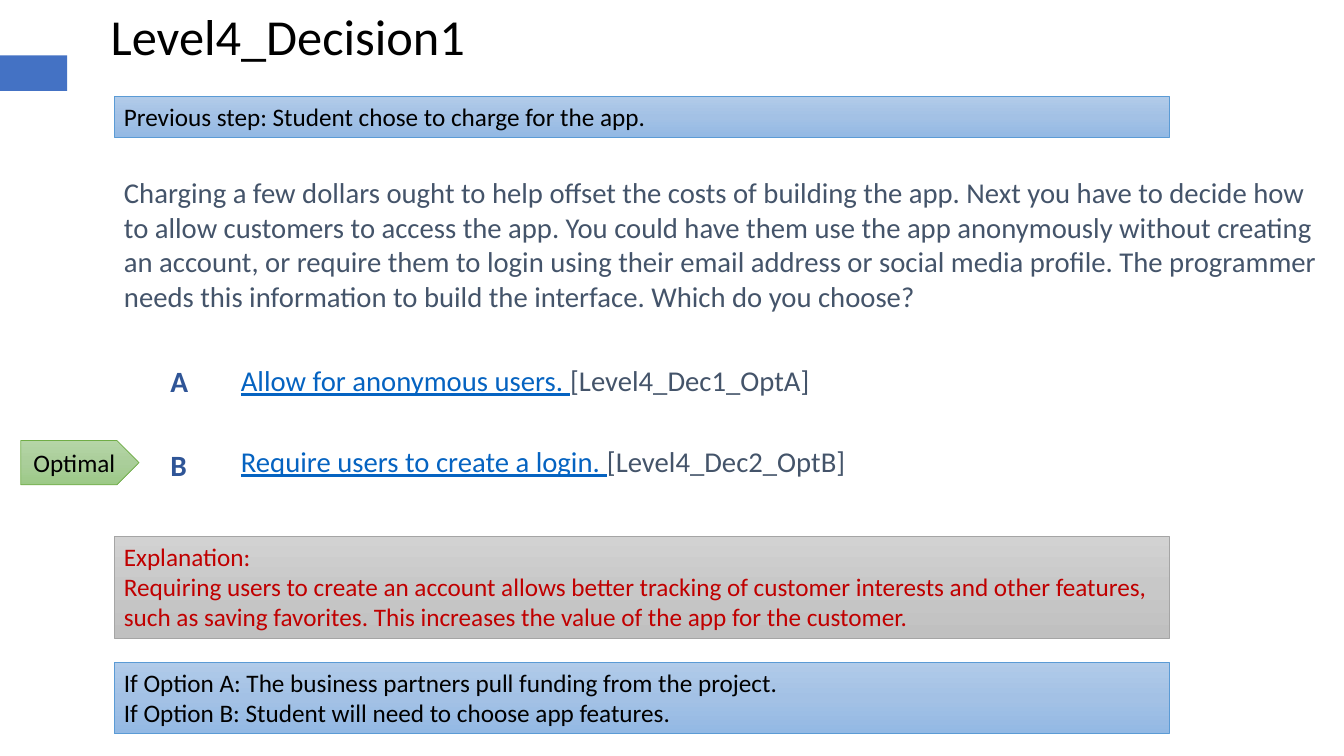
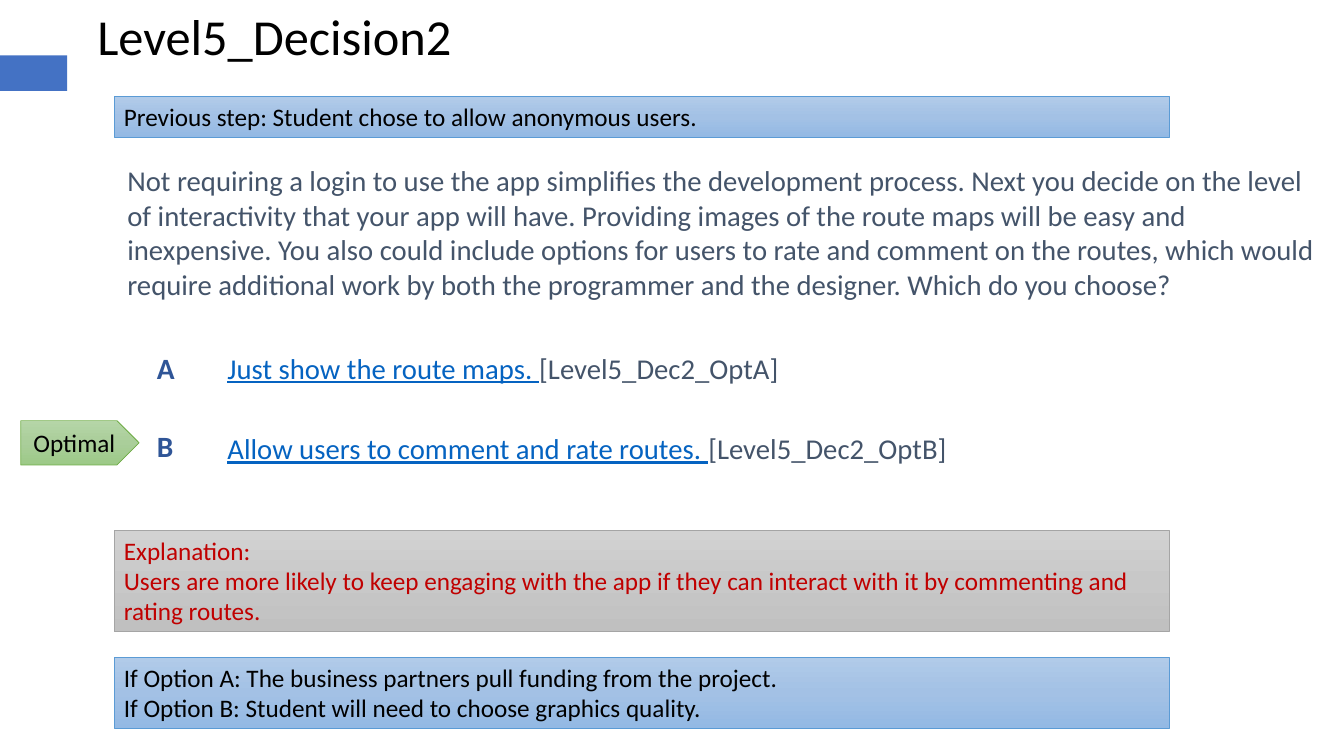
from dataclasses import dataclass

from lxml.etree import SubElement
from pptx import Presentation
from pptx.dml.color import RGBColor as Rgb
from pptx.enum.shapes import MSO_SHAPE as Preset
from pptx.enum.text import MSO_ANCHOR as Anchor, MSO_AUTO_SIZE as Fit, PP_ALIGN as Align
from pptx.oxml.ns import qn
from pptx.util import Inches, Pt

COLUMNS, ROWS = 40, 22.5


@dataclass(frozen=True)
class Theme:
    font = "Calibri"
    title_size, body_size, letter_size, note_size = 36, 20.5, 21, 18
    option_gap = 33
    ink, body, letter = "000000", "44546A", "2F5597"
    link, explanation, marker = "0563C1", "C00000", "4472C4"
    blue = ("B1CBE9", "A3C1E5", "93B9E4"), "5B9BD5"
    grey = ("D2D2D2", "C8C8C8", "C0C0C0"), "A5A5A5"
    green = ("B5D5A7", "AACE9A", "9CC987"), "70AD47"
    roomy = {"margin_left": Inches(0.13), "margin_right": Inches(0.13),
             "margin_top": Inches(0.07), "margin_bottom": Inches(0.07),
             "word_wrap": True}
    title_frame = {"word_wrap": False, "auto_size": Fit.SHAPE_TO_FIT_TEXT}
    note_frame = {"word_wrap": True, "auto_size": Fit.SHAPE_TO_FIT_TEXT,
                  "vertical_anchor": Anchor.TOP}
    tag_frame = {"word_wrap": True, "vertical_anchor": Anchor.MIDDLE}


@dataclass
class Decision:
    title: str
    previous: str
    question: str
    options: list
    explanation: str
    outcomes: list
    shift: float
    question_left: float
    tops: dict


def apply(target, formats):
    for name, value in formats.items():
        setattr(target, name, value)


class Deck:
    def __init__(self, theme):
        self.theme = theme
        self.show = Presentation()
        apply(self.show, {"slide_width": Inches(13.333), "slide_height": Inches(7.5)})
        self.slide = None

    def place(self, left, top, width, height):
        column = self.show.slide_width / COLUMNS
        row = self.show.slide_height / ROWS
        return [int(n * cell) for n, cell in
                zip((left, top, width, height), (column, row, column, row))]

    def fill_text(self, frame, lines, size, frame_format, align=Align.LEFT, gap=0, bold=False):
        apply(frame, frame_format)
        for index, runs in enumerate(lines):
            paragraph = frame.add_paragraph() if index else frame.paragraphs[0]
            apply(paragraph, {"alignment": align, "space_before": Pt(gap if index else 0)})
            for words, colour, underline in runs:
                run = paragraph.add_run()
                run.text = words
                apply(run.font, {"name": self.theme.font, "size": Pt(size),
                                 "bold": bold, "underline": underline})
                run.font.color.rgb = Rgb.from_string(colour)

    def text(self, area, lines, size, frame_format, **style):
        box = self.slide.shapes.add_textbox(*self.place(*area))
        self.fill_text(box.text_frame, lines, size, frame_format, **style)

    def shape(self, preset, area):
        shape = self.slide.shapes.add_shape(preset, *self.place(*area))
        shape.shadow.inherit = False
        return shape

    def marker(self):
        marker = self.shape(Preset.RECTANGLE, (0, 1.65, 2, 1.06))
        marker.fill.solid()
        marker.fill.fore_color.rgb = Rgb.from_string(self.theme.marker)
        marker.line.fill.background()

    def panel(self, preset, area, palette, lines, frame_format, **style):
        shades, edge = palette
        panel = self.shape(preset, area)
        panel.fill.gradient()
        panel.fill.gradient_angle = 270
        stops = panel.element.spPr.find(".//" + qn("a:gsLst"))
        stops.clear()
        for index, shade in enumerate(shades):
            stop = SubElement(stops, qn("a:gs"), pos=str(index * 50000))
            SubElement(stop, qn("a:srgbClr"), val=shade)
        panel.line.color.rgb = Rgb.from_string(edge)
        panel.line.width = Pt(0.5)
        self.fill_text(panel.text_frame, lines, self.theme.note_size, frame_format, **style)

    def note(self, top, height, palette, sentences, colour):
        self.panel(Preset.RECTANGLE, (3.39, top, 31.41, height), palette,
                   [[(words, colour, False)] for words in sentences], self.theme.note_frame)

    def decision(self, content):
        theme, tops, shift = self.theme, content.tops, content.shift
        self.slide = self.show.slides.add_slide(self.show.slide_layouts[6])
        self.marker()
        self.text((content.question_left, tops["question"], COLUMNS - content.question_left, 4.8),
                  [[(content.question, theme.body, False)]], theme.body_size, theme.roomy)
        self.text((6.78 + shift, tops["A"], 33.6, 6.4),
                  [[(choice, theme.link, True), (target, theme.body, False)]
                   for choice, target in content.options],
                  theme.body_size, theme.roomy, gap=theme.option_gap)
        for letter in "AB":
            self.text((4.68 + shift, tops[letter], 2.1, 1.32),
                      [[(letter, theme.letter, False)]], theme.letter_size, theme.roomy, bold=True)
        self.text((3 + shift, 0, 11.16, 2.13), [[(content.title, theme.ink, False)]],
                  theme.title_size, theme.title_frame)
        self.note(2.88, 1.21, theme.blue, [content.previous], theme.ink)
        self.note(tops["outcomes"], 2.13, theme.blue, content.outcomes, theme.ink)
        self.note(tops["explanation"], 3.03, theme.grey,
                  ["Explanation:", content.explanation], theme.explanation)
        self.panel(Preset.PENTAGON, (0.62, tops["B"], 3.52, 1.32), theme.green,
                   [[("Optimal", theme.ink, False)]], theme.tag_frame, align=Align.CENTER)


DECISIONS = [
    Decision(
        title="Level4_Decision1",
        previous="Previous step: Student chose to charge for the app.",
        question="Charging a few dollars ought to help offset the costs of building the app. "
                 "Next you have to decide how to allow customers to access the app. You could "
                 "have them use the app anonymously without creating an account, or require "
                 "them to login using their email address or social media profile. The "
                 "programmer needs this information to build the interface. Which do you choose?",
        options=[("Allow for anonymous users. ", "[Level4_Dec1_OptA]"),
                 ("Require users to create a login. ", "[Level4_Dec2_OptB]")],
        explanation="Requiring users to create an account allows better tracking of customer "
                    "interests and other features, such as saving favorites. This increases "
                    "the value of the app for the customer.",
        outcomes=["If Option A: The business partners pull funding from the project.",
                  "If Option B: Student will need to choose app features."],
        shift=0,
        question_left=3.3,
        tops={"question": 5, "A": 10.6, "B": 13.11, "explanation": 15.96, "outcomes": 19.71},
    ),
    Decision(
        title="Level5_Decision2",
        previous="Previous step: Student chose to allow anonymous users.",
        question="Not requiring a login to use the app simplifies the development process. "
                 "Next you decide on the level of interactivity that your app will have. "
                 "Providing images of the route maps will be easy and inexpensive. You also "
                 "could include options for users to rate and comment on the routes, which "
                 "would require additional work by both the programmer and the designer. "
                 "Which do you choose?",
        options=[("Just show the route maps. ", "[Level5_Dec2_OptA]"),
                 ("Allow users to comment and rate routes. ", "[Level5_Dec2_OptB]")],
        explanation="Users are more likely to keep engaging with the app if they can interact "
                    "with it by commenting and rating routes.",
        outcomes=["If Option A: The business partners pull funding from the project.",
                  "If Option B: Student will need to choose graphics quality."],
        shift=-0.4,
        question_left=3.4,
        tops={"question": 4.65, "A": 10.22, "B": 12.52, "explanation": 15.77, "outcomes": 19.55},
    ),
]


def main():
    deck = Deck(Theme())
    for content in DECISIONS:
        deck.decision(content)
    deck.show.save("out.pptx")


if __name__ == "__main__":
    main()
